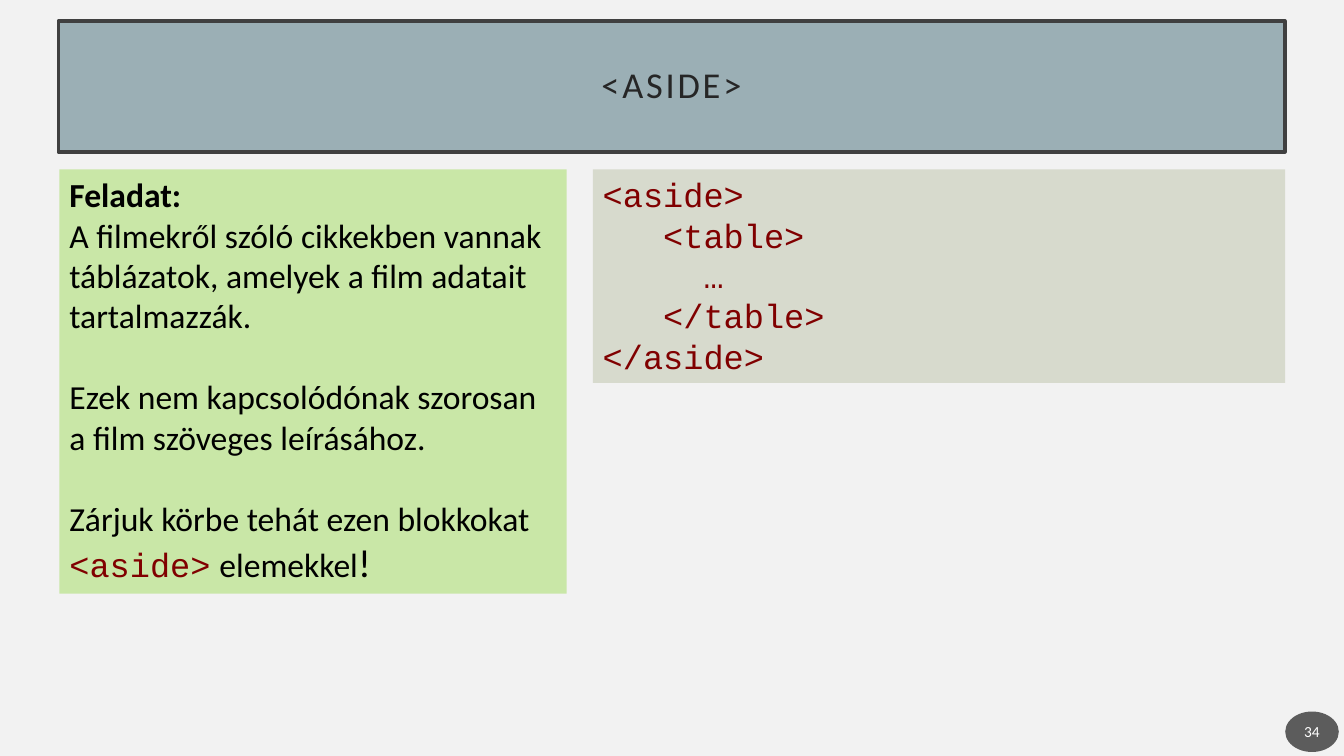
from pptx import Presentation
from pptx.dml.color import RGBColor
from pptx.enum.shapes import MSO_SHAPE as SHAPE
from pptx.enum.text import MSO_ANCHOR as ANCHOR, MSO_AUTO_SIZE as AUTO, PP_ALIGN as ALIGN
from pptx.oxml.ns import qn
from pptx.util import Cm, Pt
from lxml import etree

COLORS = {
    "background": "F2F2F2", "banner": "9BAFB5", "border": "404040",
    "title": "262626", "badge": "1D1D1D", "white": "FFFFFF",
    "task": "C9E7A7", "code_panel": "D7DACD", "text": "000000", "tag": "800000",
}
BODY, MONO = "Calibri", "Courier New"


def rgb(name):
    """Return the palette colour with the given name."""
    return RGBColor.from_string(COLORS[name])


def add_panel(slide, box, fill, kind=SHAPE.RECTANGLE, anchor=ANCHOR.TOP):
    """Add a flat filled shape at box (left, top, width, height in cm)."""
    sp = slide.shapes.add_shape(kind, *(Cm(v) for v in box))
    sp.shadow.inherit = False
    sp.fill.solid()
    sp.fill.fore_color.rgb = rgb(fill)
    sp.line.fill.background()
    tf = sp.text_frame
    tf.word_wrap = True
    tf.vertical_anchor = anchor
    return sp


def set_margins(tf, side, vertical):
    """Set the inner margins of a text frame in cm."""
    tf.margin_left = tf.margin_right = Cm(side)
    tf.margin_top = tf.margin_bottom = Cm(vertical)


def add_run(p, text, size=24, color="text", font=BODY, bold=False):
    """Append a formatted run to a paragraph."""
    r = p.add_run()
    r.text = text
    r.font.size = Pt(size)
    r.font.name = font
    r.font.bold = bold
    r.font.color.rgb = rgb(color)
    return r


def add_paragraph(tf, index, align=ALIGN.LEFT):
    """Return the paragraph for the given index, adding it if needed."""
    p = tf.add_paragraph() if index else tf.paragraphs[0]
    p.alignment = align
    return p


def add_title(slide, box, text):
    """Draw the bordered title banner."""
    sp = add_panel(slide, box, "banner", anchor=ANCHOR.MIDDLE)
    sp.line.color.rgb = rgb("border")
    sp.line.width = Pt(2.5)
    set_margins(sp.text_frame, 0.5, 0.5)
    p = add_paragraph(sp.text_frame, 0, ALIGN.CENTER)
    p.line_spacing = 0.9
    r = add_run(p, text, 26, "title")
    r.font._element.set("spc", "200")


def add_page_badge(slide, box, number):
    """Draw the translucent oval with the page number."""
    sp = add_panel(slide, box, "badge", SHAPE.OVAL, ANCHOR.MIDDLE)
    color = sp._element.spPr.find(qn("a:solidFill"))[0]
    etree.SubElement(color, qn("a:alpha")).set("val", "70000")
    set_margins(sp.text_frame, 0.05, 0.13)
    add_run(add_paragraph(sp.text_frame, 0, ALIGN.CENTER), number, 11, "white")


def add_task(slide, box, heading, paragraphs):
    """Draw the task panel: a bold heading and (gap, runs) paragraphs."""
    tf = add_panel(slide, box, "task").text_frame
    tf.auto_size = AUTO.SHAPE_TO_FIT_TEXT
    add_run(add_paragraph(tf, 0), heading, bold=True)
    for i, (gap, runs) in enumerate(paragraphs, 1):
        p = add_paragraph(tf, i)
        p.space_before = Pt(gap)
        for text, style in runs:
            add_run(p, text, **style)


def add_code(slide, box, lines):
    """Draw the code panel, one paragraph per line."""
    tf = add_panel(slide, box, "code_panel").text_frame
    tf.auto_size = AUTO.SHAPE_TO_FIT_TEXT
    for i, line in enumerate(lines):
        add_run(add_paragraph(tf, i), line, color="tag", font=MONO)


def main():
    """Build and save the slide."""
    prs = Presentation()
    prs.slide_width, prs.slide_height = Cm(33.87), Cm(19.05)
    slide = prs.slides.add_slide(prs.slide_layouts[6])
    slide.background.fill.solid()
    slide.background.fill.fore_color.rgb = rgb("background")

    add_title(slide, (1.47, 0.53, 30.91, 3.3), "<ASIDE>")
    add_page_badge(slide, (32.39, 17.93, 1.35, 1.02), "34")
    add_task(slide, (1.5, 4.27, 12.78, 10.69), "Feladat:", [
        (0, [("A filmekről szóló cikkekben vannak táblázatok, "
              "amelyek a film adatait tartalmazzák.", {})]),
        (29, [("Ezek nem kapcsolódónak szorosan a film szöveges leírásához.", {})]),
        (29, [("Zárjuk körbe tehát ezen blokkokat ", {}),
              ("<aside>", {"color": "tag", "font": MONO}),
              (" ", {"size": 28}),
              ("elemekkel", {}),
              ("!", {"size": 28})]),
    ])
    add_code(slide, (14.94, 4.27, 17.45, 5.38), [
        "<aside>",
        "   <table>",
        "     …",
        "   </table>",
        "</aside>",
    ])
    prs.save("out.pptx")


if __name__ == "__main__":
    main()
